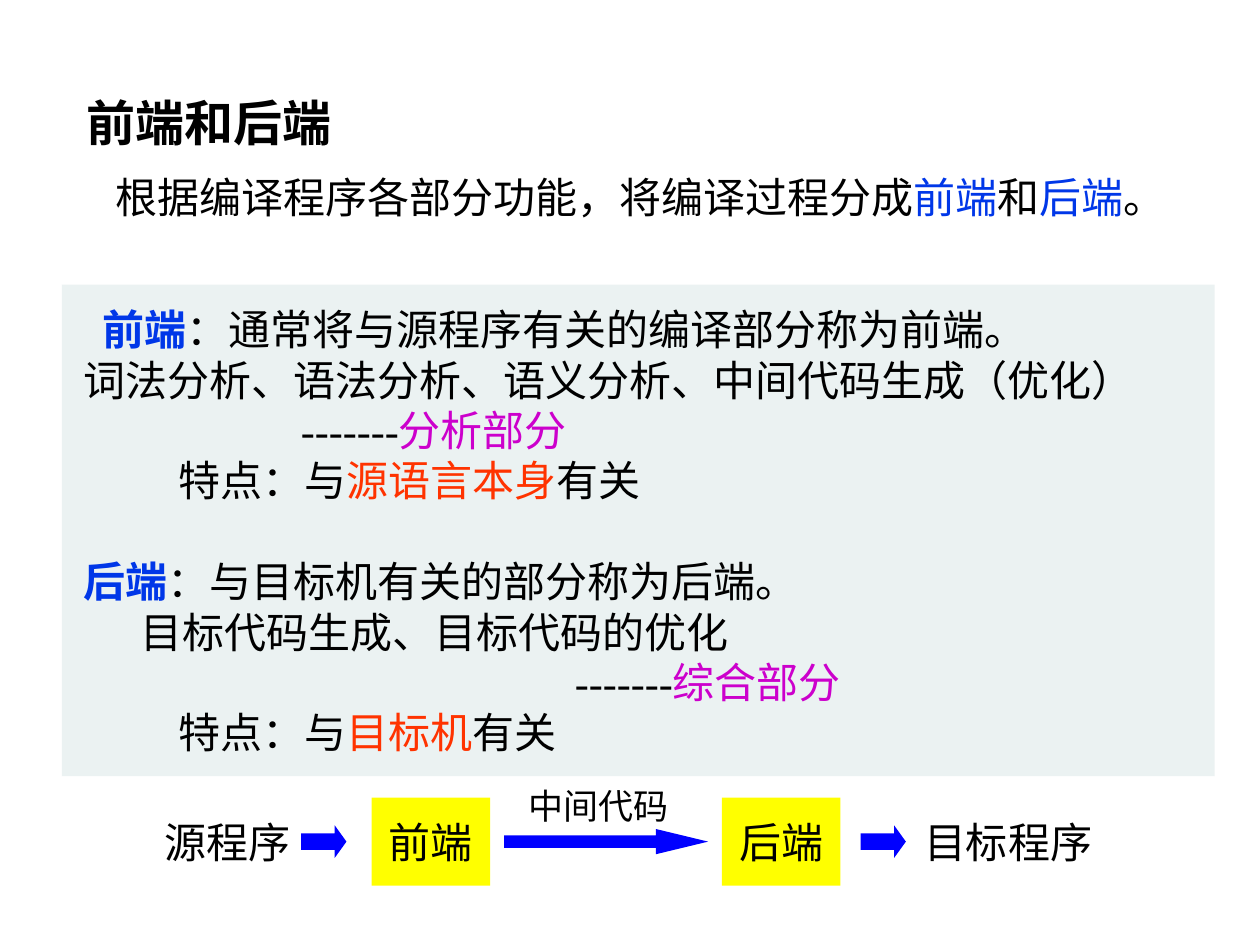
from lxml import etree
from pptx import Presentation
from pptx.dml.color import RGBColor
from pptx.enum.shapes import MSO_SHAPE
from pptx.enum.text import MSO_ANCHOR, MSO_AUTO_SIZE, PP_ALIGN
from pptx.oxml.ns import qn
from pptx.util import Inches, Pt

RECT, ARROW = MSO_SHAPE.RECTANGLE, MSO_SHAPE.RIGHT_ARROW
MIDDLE, FIXED = MSO_ANCHOR.MIDDLE, MSO_AUTO_SIZE.NONE
LEFT, CENTER = PP_ALIGN.LEFT, PP_ALIGN.CENTER
BLACK = RGBColor(0, 0, 0)
BLUE = RGBColor(0x00, 0x37, 0xE8)
PURPLE = RGBColor(0xCC, 0x00, 0xCC)
RED = RGBColor(0xFF, 0x33, 0x00)
YELLOW = RGBColor(0xFF, 0xFF, 0x00)
PURE = RGBColor(0x00, 0x00, 0xFF)
PALE = RGBColor(0xD9, 0xE6, 0xE6)
SANS, SERIF = "Noto Sans CJK SC", "Times New Roman"
PITCH = 28.8
STEP = 0.075

TITLE = "前端和后端"
INTRO = [("根据编译程序各部分功能，将编译过程分成", BLACK), ("前端", BLUE),
         ("和", BLACK), ("后端", BLUE), ("。", BLACK)]
BODY = [
    (3, 0, [("前端", BLUE, True), ("：通常将与源程序有关的编译部分称为前端。", BLACK)]),
    (1, 0, [("词法分析、语法分析、语义分析、中间代码生成（优化）", BLACK)]),
    (24, 0, [("-------", BLACK), ("分析部分", PURPLE)]),
    (11, 0, [("特点：与", BLACK), ("源语言本身", RED), ("有关", BLACK)]),
    (1, 1, [("后端", BLUE, True), ("：与目标机有关的部分称为后端。", BLACK)]),
    (7, 0, [("目标代码生成、目标代码的优化", BLACK)]),
    (53, 0, [("-------", BLACK), ("综合部分", PURPLE)]),
    (11, 0, [("特点：与", BLACK), ("目标机", RED), ("有关", BLACK)]),
]
ROW = 6.68
STAGES = [("前端", 3.42), ("后端", 6.2)]
LABELS = [("源程序", 1.81, ROW, 24), ("目标程序", 8, ROW, 24),
          ("中间代码", 4.75, 6.39, 20)]
ARROWS = [(2.57, 0.36, 0.26, 0.36), (4.81, 1.62, 0.2, 2.07),
          (7.01, 0.36, 0.26, 0.36)]


def frame(shape):
    text = shape.text_frame
    text.word_wrap = False
    text.auto_size = FIXED
    text.vertical_anchor = MIDDLE
    return text


def style(para, size, align=LEFT, name=SERIF, bold=False, indent=0):
    para.alignment = align
    props = para._p.get_or_add_pPr()
    props.set("marL", str(Inches(indent)))
    props.set("indent", "0")
    font = para.font
    font.size, font.name, font.bold = Pt(size), name, bold
    font.color.rgb = BLACK
    east = etree.SubElement(props.find(qn("a:defRPr")), qn("a:ea"))
    east.set("typeface", SANS)


def write(para, parts):
    for words, color, *bold in parts:
        run = para.add_run()
        run.text = words
        run.font.color.rgb = color
        if bold:
            run.font.bold = True
            run.font.name = SANS


def block(slide, kind, x, y, w, h, fill):
    shape = slide.shapes.add_shape(kind, Inches(x), Inches(y), Inches(w), Inches(h))
    shape.shadow.inherit = False
    shape.fill.solid()
    shape.fill.fore_color.rgb = fill
    shape.line.fill.background()
    return shape


def label(shape, words, size):
    para = frame(shape).paragraphs[0]
    style(para, size, CENTER)
    write(para, [(words, BLACK)])


def main():
    deck = Presentation()
    deck.slide_width, deck.slide_height = Inches(10), Inches(7.5)
    slide = deck.slides.add_slide(deck.slide_layouts[5])

    title = slide.shapes.title
    title.left, title.top = Inches(0.59), Inches(0.62)
    title.width, title.height = Inches(8.87), Inches(0.7)
    para = frame(title).paragraphs[0]
    style(para, 28, LEFT, SANS, True)
    write(para, [(TITLE, BLACK, True)])

    intro = slide.shapes.add_textbox(Inches(0.59), Inches(1.21), Inches(8.87), Inches(0.7))
    para = frame(intro).paragraphs[0]
    style(para, 24, indent=3 * STEP)
    write(para, INTRO)

    panel = block(slide, RECT, 0.49, 2.26, 9.15, 3.9, PALE)
    color = panel.fill._xPr.find(qn("a:solidFill"))[0]
    etree.SubElement(color, qn("a:alpha")).set("val", "50000")
    text = frame(panel)
    for i, (steps, gap, parts) in enumerate(BODY):
        para = text.add_paragraph() if i else text.paragraphs[0]
        style(para, 24, indent=steps * STEP)
        para.line_spacing = Pt(PITCH)
        para.space_before = Pt(gap * PITCH)
        write(para, parts)

    for words, mid in STAGES:
        label(block(slide, RECT, mid - 0.47, ROW - 0.35, 0.94, 0.7, YELLOW), words, 24)
    for words, mid, y, size in LABELS:
        wide = len(words) / 3
        box = slide.shapes.add_textbox(Inches(mid - wide / 2), Inches(y - 0.35),
                                       Inches(wide), Inches(0.7))
        label(box, words, size)
    for mid, wide, high, head in ARROWS:
        arrow = block(slide, ARROW, mid - wide / 2, ROW - high / 2, wide, high, PURE)
        arrow.adjustments[0], arrow.adjustments[1] = 0.5, head

    deck.save("out.pptx")


if __name__ == "__main__":
    main()
